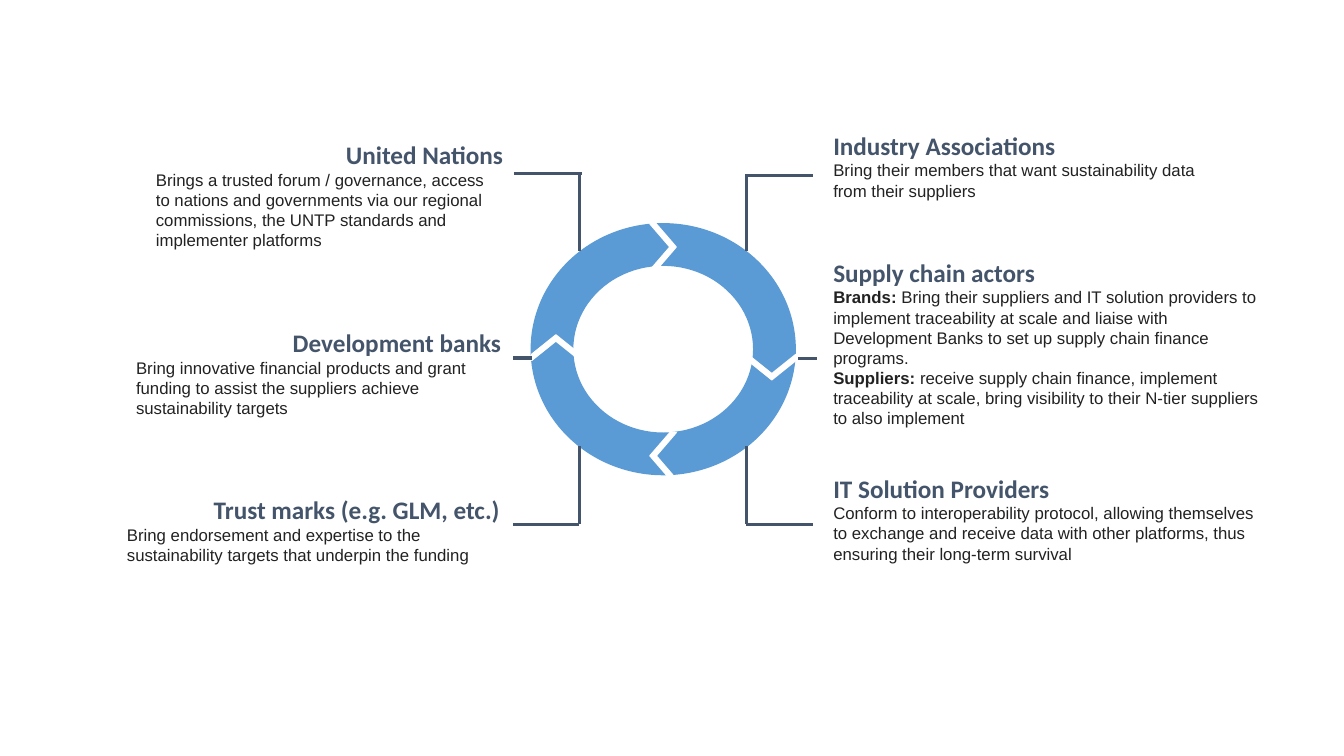
from lxml.etree import SubElement
from pptx import Presentation
from pptx.dml.color import RGBColor
from pptx.enum.shapes import MSO_CONNECTOR, MSO_SHAPE
from pptx.enum.text import MSO_ANCHOR, PP_ALIGN
from pptx.oxml.ns import qn
from pptx.util import Cm, Pt

WHITE = RGBColor(0xFF, 0xFF, 0xFF)
SLATE = RGBColor(0x44, 0x54, 0x6A)
BLUE = RGBColor(0x5B, 0x9B, 0xD5)
INK = RGBColor(0x22, 0x22, 0x22)

LEFT, RIGHT = PP_ALIGN.LEFT, PP_ALIGN.RIGHT
RIGHT_COLUMN = 20.75

# Heading, heading alignment, (left, top, width, height), paragraphs of (bold label, text)
PARTNERS = [
    ("United Nations", RIGHT, (3.68, 3.38, 9.25, 4.34), [
        ("", "Brings a trusted forum / governance, access to nations and governments via our "
             "regional commissions, the UNTP standards and implementer platforms")]),
    ("Development banks", RIGHT, (3.18, 8.13, 9.7, 2.92), [
        ("", "Bring innovative financial products and grant funding to assist the suppliers "
             "achieve sustainability targets")]),
    ("Trust marks (e.g. GLM, etc.)", RIGHT, (2.95, 12.34, 9.9, 2.18), [
        ("", "Bring endorsement and expertise to the sustainability targets that underpin "
             "the funding")]),
    ("Industry Associations", LEFT, (RIGHT_COLUMN, 3.15, 9.83, 2.44), [
        ("", "Bring their members that want sustainability data from their suppliers")]),
    ("Supply chain actors", LEFT, (RIGHT_COLUMN, 6.35, 11.46, 4.34), [
        ("Brands: ", "Bring their suppliers and IT solution providers to implement traceability "
                     "at scale and liaise with Development Banks to set up supply chain "
                     "finance programs."),
        ("Suppliers: ", "receive supply chain finance, implement traceability at scale, bring "
                        "visibility to their N-tier suppliers to also implement")]),
    ("IT Solution Providers", LEFT, (RIGHT_COLUMN, 11.79, 11.46, 3.12), [
        ("", "Conform to interoperability protocol, allowing themselves to exchange and receive "
             "data with other platforms, thus ensuring their long-term survival")]),
]

RING = (13.39, 5.64, 6.65, 6.32)
# Gaps in the ring: (left, top, width, height), rotation
RING_ARROWS = [
    ((16.38, 5.64, 0.66, 1.17), 0),
    ((19.13, 8.64, 0.64, 1.22), 90),
    ((16.38, 10.9, 0.66, 1.17), 180),
    ((13.69, 8.15, 0.64, 1.22), 270),
]

LEFT_ELBOW, RIGHT_ELBOW = 14.6, 18.82
UPPER, LOWER = 4.39, 13.21
# Start x, start y, end x, end y
LEADERS = [
    (12.93, 9.02, 13.41, 9.02),
    (20.12, 9.04, 20.6, 9.04),
    (12.95, 4.37, 14.66, 4.37),
    (18.8, 4.42, 20.5, 4.42),
    (12.93, LOWER, LEFT_ELBOW, LOWER),
    (18.8, LOWER, 20.5, LOWER),
]
for elbow in (LEFT_ELBOW, RIGHT_ELBOW):
    LEADERS += [(elbow, UPPER, elbow, 6.32), (elbow, 11.25, elbow, LOWER)]


def add_run(paragraph, text, font="Arial", size=12, color=INK, bold=False):
    run = paragraph.add_run()
    run.text = text
    run.font.name = font
    run.font.size = Pt(size)
    run.font.color.rgb = color
    run.font.bold = bold


class SlideBuilder:
    """Holds the slide and draws its elements in one style, with lengths in cm."""

    def __init__(self, slide):
        self.slide = slide

    def shape(self, kind, bounds, color=WHITE, adjustment=None, rotation=0):
        shape = self.slide.shapes.add_shape(kind, *map(Cm, bounds))
        shape.shadow.inherit = False
        shape.fill.solid()
        shape.fill.fore_color.rgb = color
        shape.line.color.rgb = color
        shape.line.width = Pt(1)
        shape.rotation = rotation
        if adjustment is not None:
            shape.adjustments[0] = adjustment
        return shape

    def partner(self, heading, alignment, bounds, details):
        frame = self.shape(MSO_SHAPE.RECTANGLE, bounds).text_frame
        frame.word_wrap = True
        frame.vertical_anchor = MSO_ANCHOR.TOP
        title = frame.paragraphs[0]
        title.alignment = alignment
        add_run(title, heading, font="Calibri", size=18, color=SLATE, bold=True)
        for label, text in details:
            paragraph = frame.add_paragraph()
            paragraph.alignment = LEFT
            if label:
                add_run(paragraph, label, bold=True)
            add_run(paragraph, text)

    def leader(self, *ends):
        connector = self.slide.shapes.add_connector(MSO_CONNECTOR.STRAIGHT, *map(Cm, ends))
        connector.line.color.rgb = SLATE
        connector.line.width = Pt(2.25)
        SubElement(connector._element.spPr, qn("a:effectLst"))


def main():
    presentation = Presentation()
    presentation.slide_width = Cm(33.87)
    presentation.slide_height = Cm(19.05)
    builder = SlideBuilder(presentation.slides.add_slide(presentation.slide_layouts[6]))
    for partner in PARTNERS:
        builder.partner(*partner)
    builder.shape(MSO_SHAPE.DONUT, RING, color=BLUE, adjustment=0.165)
    for bounds, rotation in RING_ARROWS:
        builder.shape(MSO_SHAPE.CHEVRON, bounds, adjustment=0.765, rotation=rotation)
    for ends in LEADERS:
        builder.leader(*ends)
    presentation.save("out.pptx")


if __name__ == "__main__":
    main()
